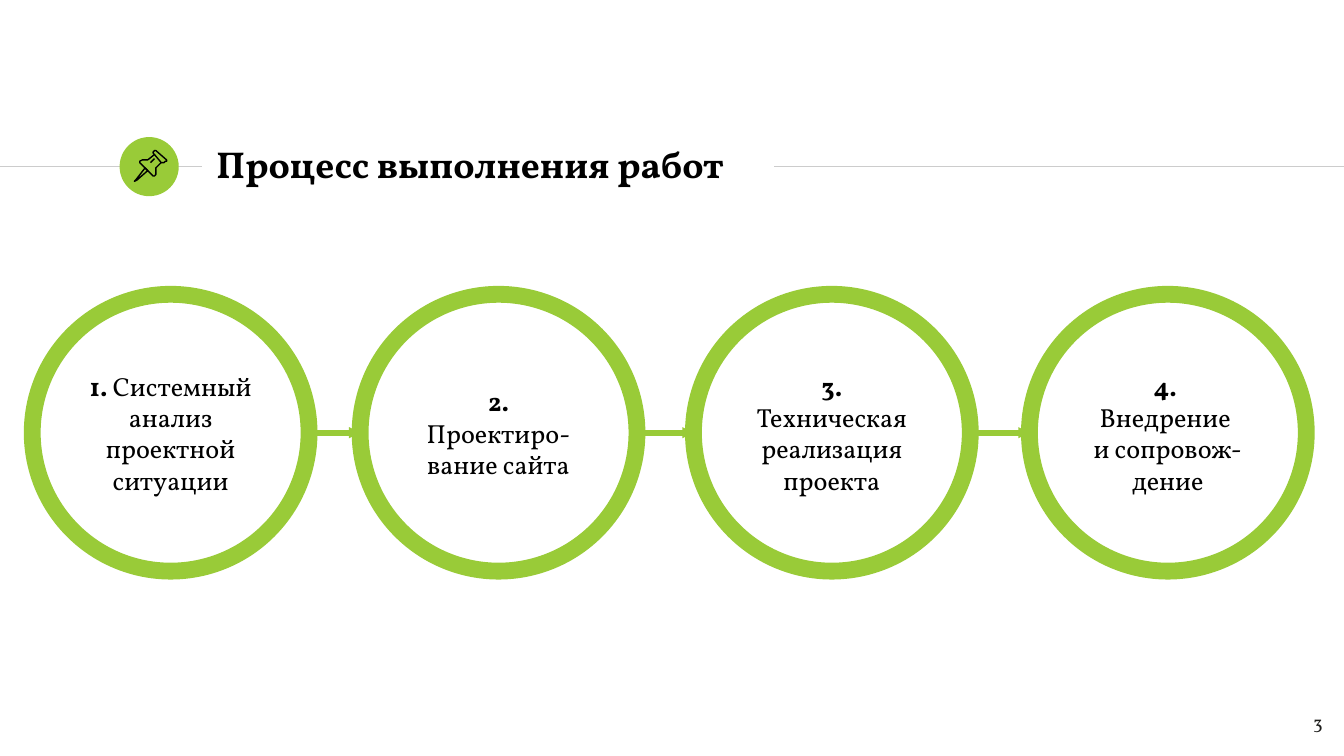
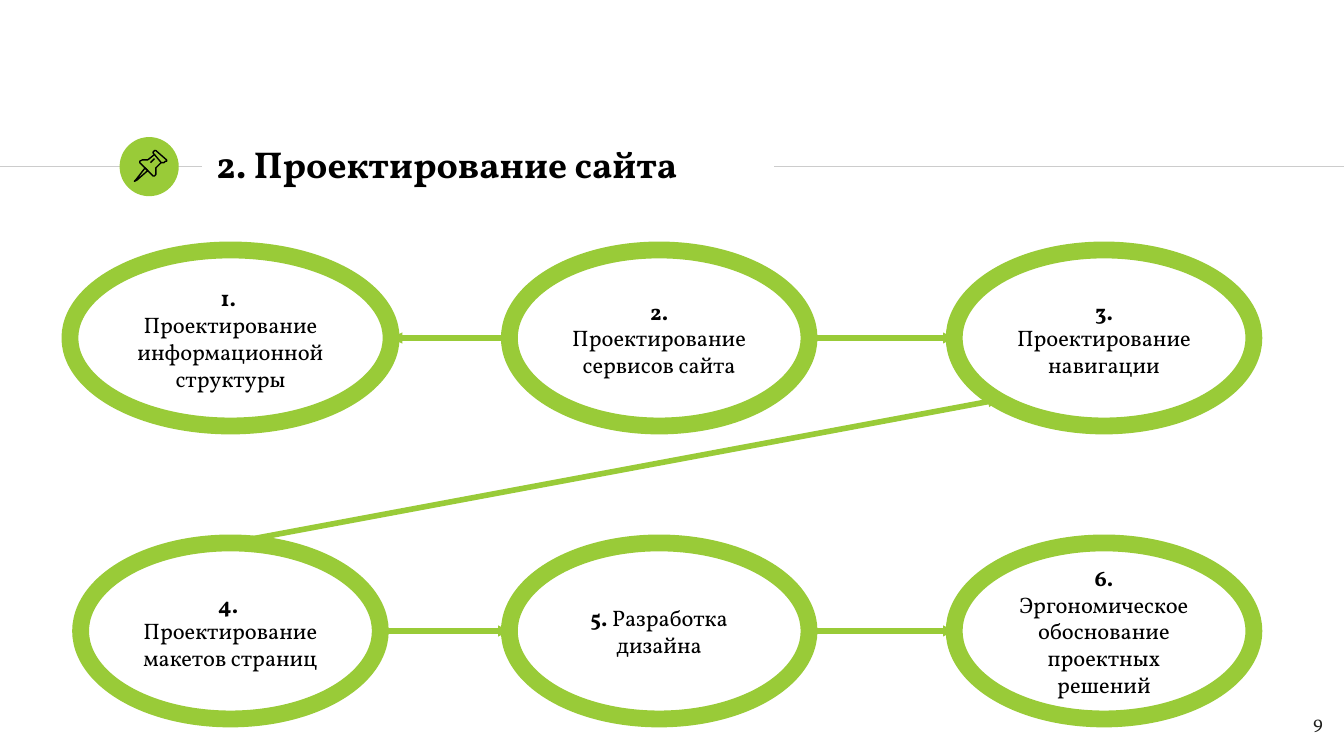
from lxml import etree
from pptx import Presentation
from pptx.dml.color import RGBColor
from pptx.enum.shapes import MSO_CONNECTOR, MSO_SHAPE
from pptx.enum.text import MSO_ANCHOR, MSO_AUTO_SIZE, PP_ALIGN
from pptx.oxml.ns import qn
from pptx.util import Inches, Pt

STRAIGHT = MSO_CONNECTOR.STRAIGHT
OVAL = MSO_SHAPE.OVAL
MIDDLE, TOP = MSO_ANCHOR.MIDDLE, MSO_ANCHOR.TOP
NO_AUTOFIT = MSO_AUTO_SIZE.NONE
LEFT, CENTER, RIGHT = PP_ALIGN.LEFT, PP_ALIGN.CENTER, PP_ALIGN.RIGHT

GREEN = RGBColor(0x99, 0xCB, 0x38)
GRAY = RGBColor(0xCC, 0xCC, 0xCC)
BLACK = RGBColor(0x00, 0x00, 0x00)
DARK = RGBColor(0x1D, 0x1D, 0x1B)
FONT = "Vollkorn"
TITLE_ONLY = 5
RULE_Y = 1.24

# Pushpin outlines in hundredths of an inch: (points, closed)
PIN_OUTLINES = [
    ([(108, 125), (101, 134), (100, 135), (102, 134), (110, 127)], True),
    ([(115, 115), (120, 121), (122, 121), (123, 120.5), (124, 120), (124, 119),
      (116, 112), (115, 112), (114, 113), (114, 114)], True),
    ([(115, 115), (110, 119), (108, 119), (106, 119), (104, 120), (104, 121),
      (114, 131), (115, 131), (116, 130), (116, 128), (116, 125), (120, 121)], False),
    ([(112, 121), (115, 118)], False),
]

# Connection points of an ellipse as shares of its width and height
SITES = {"left": (0, 0.5), "right": (1, 0.5), "top": (0.5, 0), "bottom left": (0.15, 0.85)}


class Deck:
    def __init__(self):
        self.presentation = Presentation()
        self.presentation.slide_width = Inches(10)
        self.presentation.slide_height = Inches(10) * 9 // 16
        self.slide = None

    def add_slide(self, title, number):
        layout = self.presentation.slide_layouts[TITLE_ONLY]
        self.slide = self.presentation.slides.add_slide(layout)
        self.line((0, RULE_Y), (1.5, RULE_Y), GRAY, 0.75)
        self.line((5.76, RULE_Y), (10, RULE_Y), GRAY, 0.75)
        self.badge()
        self.title(title)
        self.page_number(number)

    def format_frame(self, frame, anchor):
        frame.word_wrap = True
        frame.auto_size = NO_AUTOFIT
        frame.vertical_anchor = anchor
        frame.margin_left = frame.margin_right = Inches(0.1)
        frame.margin_top = frame.margin_bottom = Inches(0.1)

    def add_run(self, paragraph, text, size, color=BLACK, bold=False):
        run = paragraph.add_run()
        run.text = text
        run.font.name = FONT
        run.font.size = Pt(size)
        run.font.bold = bold
        run.font.color.rgb = color

    def title(self, text):
        title = self.slide.shapes.title
        title.left, title.top = Inches(1.51), Inches(0.98)
        title.width, title.height = Inches(4.24), Inches(0.48)
        self.format_frame(title.text_frame, MIDDLE)
        paragraph = title.text_frame.paragraphs[0]
        paragraph.alignment = LEFT
        self.add_run(paragraph, text, 20, bold=True)

    def page_number(self, number):
        box = self.slide.shapes.add_textbox(Inches(9.34), Inches(5.19), Inches(0.6), Inches(0.43))
        self.format_frame(box.text_frame, TOP)
        paragraph = box.text_frame.paragraphs[0]
        paragraph.alignment = RIGHT
        self.add_run(paragraph, str(number), 10, DARK)

    def ellipse(self, left, top, width, height):
        shape = self.slide.shapes.add_shape(
            OVAL, Inches(left), Inches(top), Inches(width), Inches(height))
        shape.shadow.inherit = False
        return shape

    def badge(self):
        """Green disc with a pushpin in front of the title."""
        disc = self.ellipse(0.89, 1.02, 0.44, 0.44)
        disc.fill.solid()
        disc.fill.fore_color.rgb = GREEN
        disc.line.fill.background()
        pin = self.slide.shapes.add_group_shape()
        for points, closed in PIN_OUTLINES:
            builder = pin.shapes.build_freeform(*points[0], scale=Inches(0.01))
            builder.add_line_segments(points[1:], close=closed)
            outline = builder.convert_to_shape()
            outline.shadow.inherit = False
            outline.fill.background()
            outline.line.color.rgb = BLACK
            outline.line.width = Pt(0.75)

    def step(self, left, top, width, height, text, size):
        """Green ring whose text starts with a bold number."""
        ring = self.ellipse(left, top, width, height)
        ring.fill.background()
        ring.line.color.rgb = GREEN
        ring.line.width = Pt(9)
        frame = ring.text_frame
        self.format_frame(frame, MIDDLE)
        number, space, rest = text.partition(" ")
        first, *others = rest.split("\n")
        paragraph = frame.paragraphs[0]
        paragraph.alignment = CENTER
        self.add_run(paragraph, number + space, size, bold=True)
        if first:
            self.add_run(paragraph, first, size)
        for line in others:
            paragraph = frame.add_paragraph()
            paragraph.alignment = CENTER
            self.add_run(paragraph, line, size)
        return left, top, width, height

    def line(self, start, end, color, width):
        connector = self.slide.shapes.add_connector(
            STRAIGHT, *(Inches(value) for value in (*start, *end)))
        connector.line.color.rgb = color
        connector.line.width = Pt(width)
        etree.SubElement(connector._element.spPr, qn("a:effectLst"))
        return connector

    def arrow(self, source, target, source_site="right", target_site="left"):
        ends = []
        for (left, top, width, height), site in ((source, source_site), (target, target_site)):
            across, down = SITES[site]
            ends.append((left + across * width, top + down * height))
        connector = self.line(*ends, GREEN, 3)
        line_properties = connector._element.spPr.find(qn("a:ln"))
        etree.SubElement(line_properties, qn("a:tailEnd"), type="triangle", w="sm", len="sm")


def build_process(deck):
    deck.add_slide("Процесс выполнения работ", 3)
    stages = [
        (0.24, "1. Системный анализ проектной ситуации"),
        (2.68, "2. Проектиро-вание сайта"),
        (5.16, "3. Техническая реализация проекта"),
        (7.66, "4. \nВнедрение \nи сопровож-\nдение"),
    ]
    rings = [deck.step(left, 2.19, 2.06, 2.06, text, 14) for left, text in stages]
    for source, target in zip(rings, rings[1:]):
        deck.arrow(source, target)


def build_site_design(deck):
    deck.add_slide("2. Проектирование сайта", 9)
    upper, lower, width = 1.86, 4.04, 2.23
    steps = [
        (0.52, upper, 2.39, "1. \nПроектирование информационной структуры"),
        (3.79, upper, width, "2. Проектирование сервисов сайта"),
        (7.1, upper, width, "3. Проектирование навигации"),
        (0.6, lower, width, "4. \nПроектирование макетов страниц"),
        (3.79, lower, width, "5. Разработка дизайна"),
        (7.1, lower, width, "6. Эргономическое обоснование проектных решений"),
    ]
    structure, services, navigation, layouts, design, ergonomics = [
        deck.step(left, top, ring_width, 1.31, text, 12)
        for left, top, ring_width, text in steps]
    deck.arrow(services, structure, "left", "right")
    deck.arrow(services, navigation)
    deck.arrow(layouts, design)
    deck.arrow(design, ergonomics)
    deck.arrow(layouts, navigation, "top", "bottom left")


def main():
    deck = Deck()
    build_process(deck)
    build_site_design(deck)
    deck.presentation.save("out.pptx")


if __name__ == "__main__":
    main()
